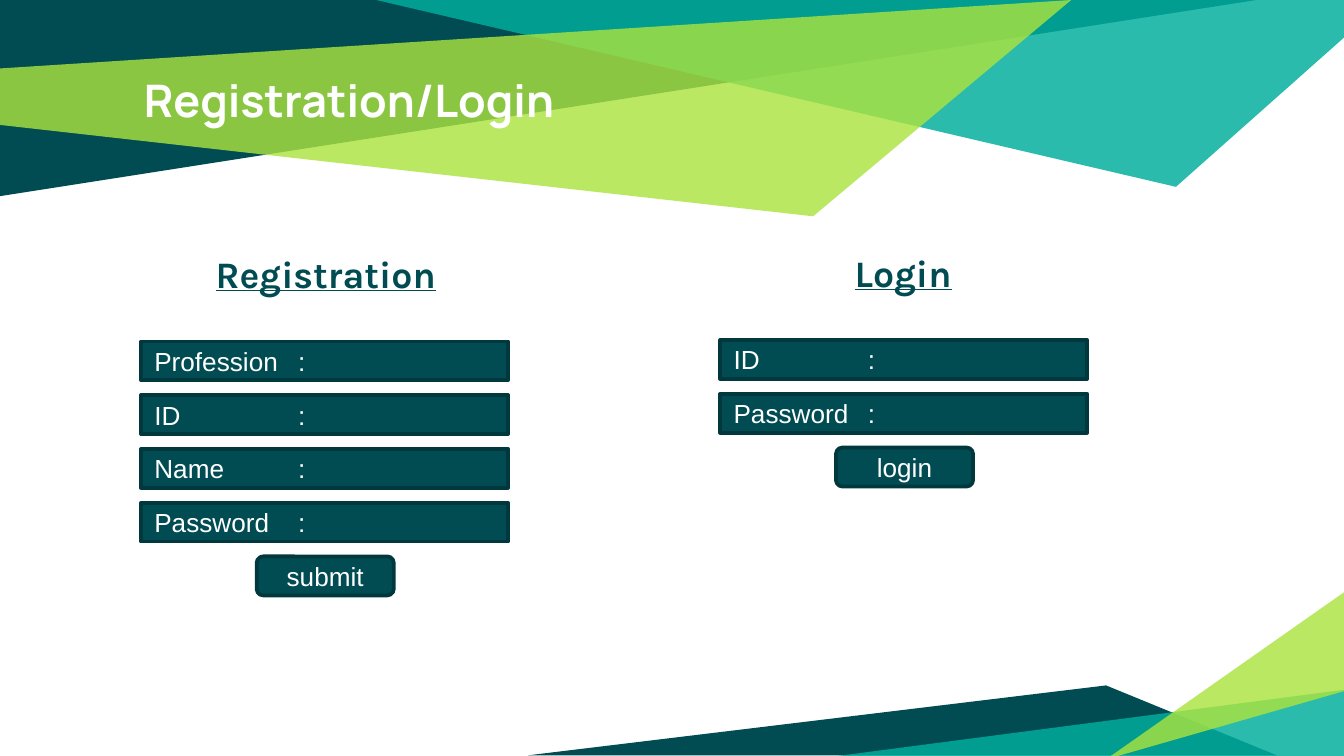
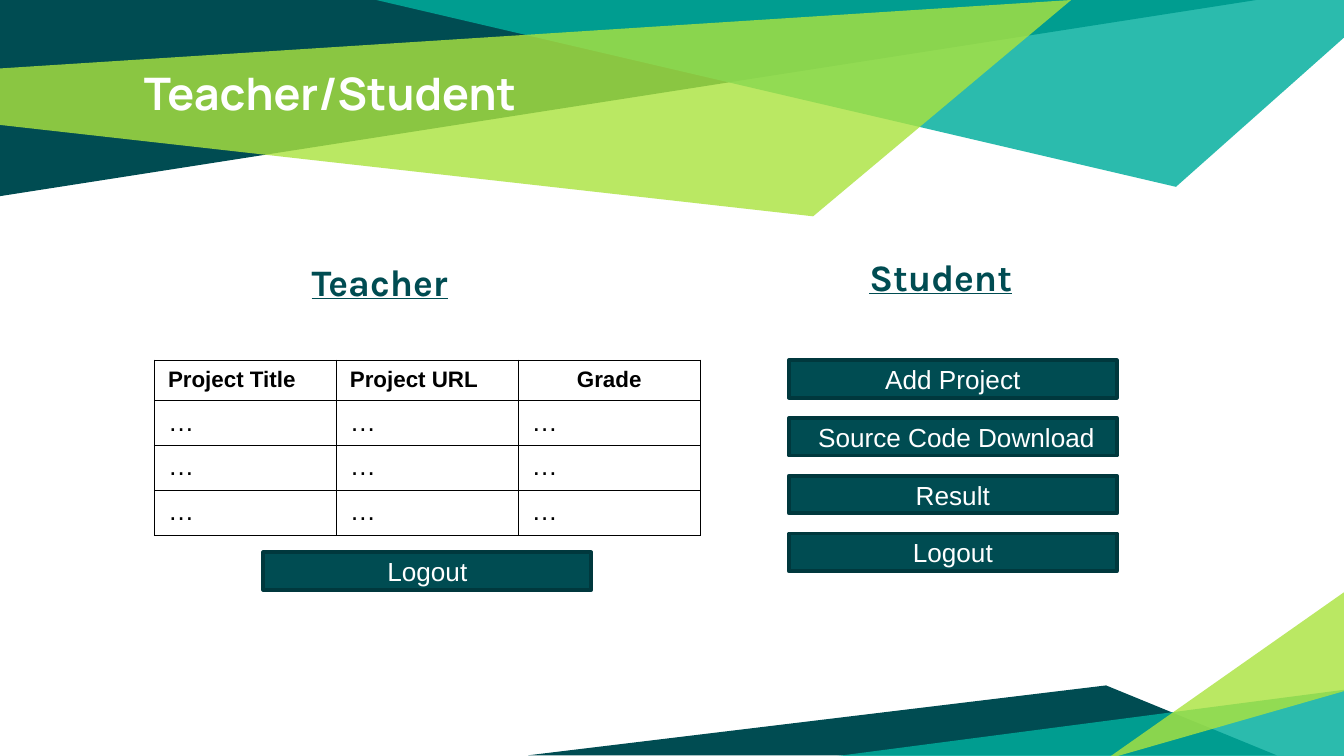
"""Build two slides that sketch the screens of a project portal."""
from lxml import etree
from pptx import Presentation
from pptx.dml.color import RGBColor
from pptx.enum.shapes import MSO_SHAPE
from pptx.enum.text import MSO_ANCHOR, MSO_AUTO_SIZE, PP_ALIGN
from pptx.oxml import parse_xml
from pptx.oxml.ns import nsdecls, qn
from pptx.util import Inches, Pt

COLORS = {"dark": "004C52", "edge": "00383D", "teal": "00AE9D",
          "lime": "ABE33F", "white": "FFFFFF", "black": "000000"}
BANDS = [
    ("dark", 100, [(0, 0), (0, 1.46), (9.35, 0)]),
    ("teal", 83, [(2.8, 0), (8.75, 1.39), (10, 0.28), (10, 0)]),
    ("lime", 81, [(-0.01, 0.51), (0, 0.93), (6.05, 1.61), (7.97, 0)]),
    ("dark", 100, [(3.93, 5.62), (9.5, 5.62), (8.23, 5.1)]),
    ("teal", 83, [(10.02, 5.13), (10.02, 5.65), (6.04, 5.65)]),
    ("lime", 81, [(10.01, 5.14), (10.01, 4.4), (8.23, 5.65)]),
]


def add_run(paragraph, text, size, color, font="Arial", bold=False, underline=False):
    run = paragraph.add_run()
    run.text = text
    run.font.name = font
    run.font.size = Pt(size)
    run.font.bold = bold
    run.font.underline = underline
    run.font.color.rgb = RGBColor.from_string(COLORS[color])


def add_box(slide, preset, left, top, width, height, text, align=PP_ALIGN.CENTER, colon_at=None):
    box = slide.shapes.add_shape(preset, Inches(left), Inches(top), Inches(width), Inches(height))
    box.shadow.inherit = False
    box.fill.solid()
    box.fill.fore_color.rgb = RGBColor.from_string(COLORS["dark"])
    box.line.color.rgb = RGBColor.from_string(COLORS["edge"])
    box.line.width = Pt(2)
    box.text_frame.vertical_anchor = MSO_ANCHOR.MIDDLE
    paragraph = box.text_frame.paragraphs[0]
    paragraph.alignment = align
    if colon_at:
        tabs = etree.SubElement(paragraph._p.get_or_add_pPr(), qn("a:tabLst"))
        etree.SubElement(tabs, qn("a:tab"), pos=str(Inches(colon_at)), algn="l")
    add_run(paragraph, text, 14, "white")


prs = Presentation()
prs.slide_width = Inches(10)
prs.slide_height = Inches(10) * 9 // 16
layout = prs.slide_layouts[5]
account = prs.slides.add_slide(layout)
portal = prs.slides.add_slide(layout)

for order, (color, opacity, points) in enumerate(BANDS):
    corners = [(Inches(x), Inches(y)) for x, y in points]
    outline = account.shapes.build_freeform(*corners[0])
    outline.add_line_segments(corners[1:], close=True)
    band = outline.convert_to_shape()
    band.shadow.inherit = False
    band.fill.solid()
    band.fill.fore_color.rgb = RGBColor.from_string(COLORS[color])
    band.line.fill.background()
    if opacity < 100:
        tint = band.element.spPr.find(qn("a:solidFill"))[0]
        etree.SubElement(tint, qn("a:alpha"), val=str(opacity * 1000))
    layout.shapes.element.insert(2 + order, band.element)

for slide, text, top in [(account, "Registration/Login", 0.44), (portal, "Teacher/Student", 0.39)]:
    title = slide.shapes.title
    title.left, title.top, title.width, title.height = (
        Inches(0.97), Inches(top), Inches(8.06), Inches(0.94))
    frame = title.text_frame
    frame.margin_left = frame.margin_right = frame.margin_top = frame.margin_bottom = Inches(0.1)
    frame.auto_size = MSO_AUTO_SIZE.NONE
    frame.word_wrap = True
    frame.vertical_anchor = MSO_ANCHOR.TOP
    frame.paragraphs[0].alignment = PP_ALIGN.LEFT
    add_run(frame.paragraphs[0], text, 24, "white", "Manrope", bold=True)

for slide, text, left, top, width, height, align in [
    (account, "Registration", 0.7, 1.77, 3.45, 0.29, PP_ALIGN.CENTER),
    (account, "Login", 4.8, 1.76, 3.84, 0.29, PP_ALIGN.CENTER),
    (portal, "Teacher", 2.22, 1.83, 3.89, 0.56, PP_ALIGN.LEFT),
    (portal, "Student", 6.37, 1.79, 3.63, 0.56, PP_ALIGN.LEFT),
]:
    heading = slide.shapes.add_textbox(Inches(left), Inches(top), Inches(width), Inches(height))
    frame = heading.text_frame
    frame.margin_left = frame.margin_right = frame.margin_top = frame.margin_bottom = Inches(0.1)
    frame.word_wrap = True
    paragraph = frame.paragraphs[0]
    paragraph.alignment = align
    paragraph.space_before = Pt(6)
    add_run(paragraph, text, 20, "dark", "Karla", bold=True, underline=True)

for left, top, colon_at, fields, button in [
    (1.05, 2.54, 1.07, ["Profession", "ID", "Name", "Password"], "submit"),
    (5.36, 2.53, 1.0, ["ID", "Password"], "login"),
]:
    for row, field in enumerate(fields):
        add_box(account, MSO_SHAPE.RECTANGLE, left, top + 0.4 * row, 2.73, 0.29,
                field + "\t:", PP_ALIGN.LEFT, colon_at)
    add_box(account, MSO_SHAPE.ROUNDED_RECTANGLE, left + 0.86, top + 0.4 * len(fields),
            1.02, 0.29, button)

project_rows = [["Project Title", "Project URL", "Grade"]] + [["…"] * 3] * 3
projects = portal.shapes.add_table(
    4, 3, Inches(1.15), Inches(2.68), Inches(4.06), Inches(1.25)).table
projects.first_row = projects.horz_banding = False
for column in projects.columns:
    column.width = Inches(4.06) // 3
for r, texts in enumerate(project_rows):
    header = r == 0
    projects.rows[r].height = Inches(0.29 if header else 0.32)
    for c, text in enumerate(texts):
        cell = projects.cell(r, c)
        cell.fill.background()
        paragraph = cell.text_frame.paragraphs[0]
        paragraph.alignment = PP_ALIGN.CENTER if text == "Grade" else PP_ALIGN.LEFT
        add_run(paragraph, text, 12 if header else 14, "black", bold=header)
        for order, side in enumerate(["lnL", "lnR", "lnT", "lnB"]):
            border = parse_xml(
                f'<a:{side} {nsdecls("a")} w="{Pt(0.75)}"><a:solidFill>'
                f'<a:srgbClr val="{COLORS["black"]}"/></a:solidFill></a:{side}>')
            cell._tc.get_or_add_tcPr().insert(order, border)

for row, action in enumerate(["Add Project", " Source Code Download", "Result", "Logout"]):
    add_box(portal, MSO_SHAPE.RECTANGLE, 5.87, 2.68 + 0.43 * row, 2.44, 0.28, action)
add_box(portal, MSO_SHAPE.RECTANGLE, 1.96, 4.11, 2.44, 0.28, "Logout")

prs.save("out.pptx")
